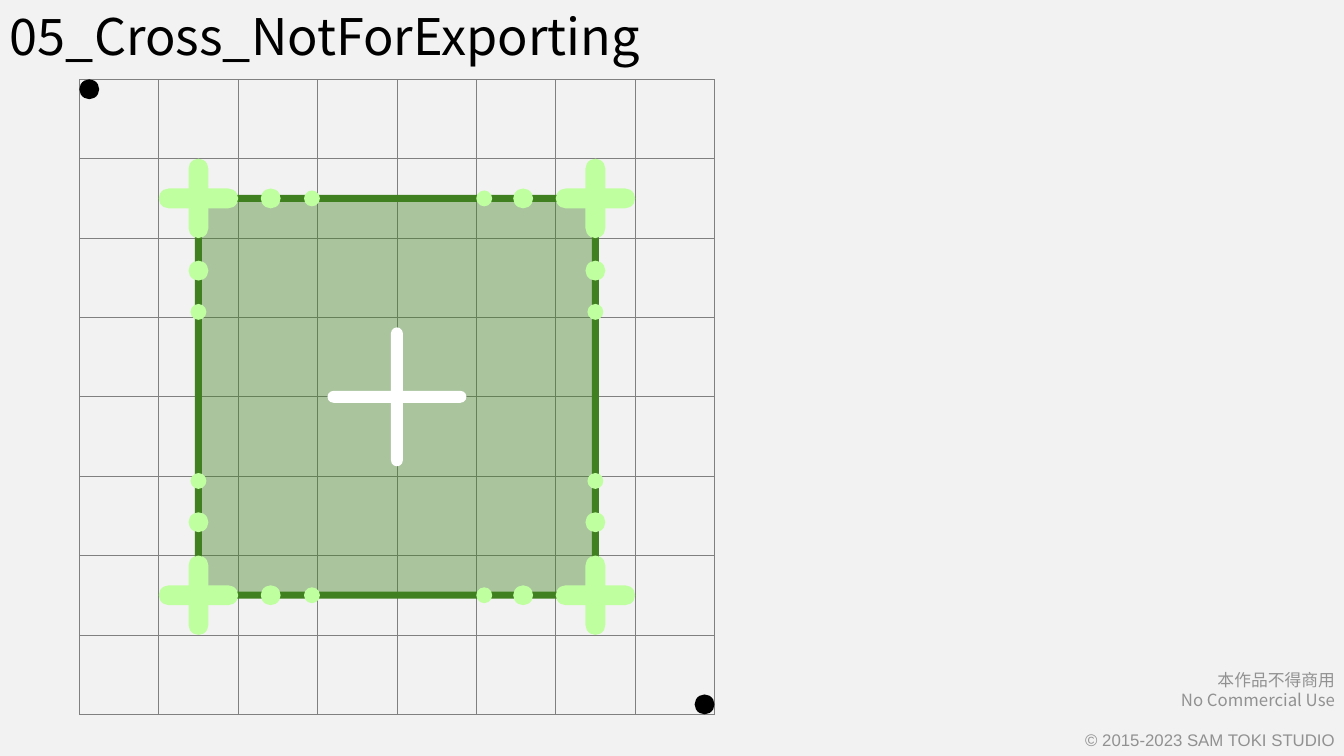
from itertools import product

from lxml import etree
from pptx import Presentation
from pptx.dml.color import RGBColor
from pptx.enum.shapes import MSO_CONNECTOR, MSO_SHAPE
from pptx.enum.text import MSO_AUTO_SIZE, PP_ALIGN
from pptx.oxml.ns import qn
from pptx.util import Cm, Inches, Pt

STRAIGHT = MSO_CONNECTOR.STRAIGHT
OVAL, ROUNDED = MSO_SHAPE.OVAL, MSO_SHAPE.ROUNDED_RECTANGLE
LEFT, RIGHT = PP_ALIGN.LEFT, PP_ALIGN.RIGHT
FIT_SHAPE = MSO_AUTO_SIZE.SHAPE_TO_FIT_TEXT

SANS, ARIAL = "Noto Sans CJK SC", "Arial"
BLACK, WHITE, GREY = "000000", "FFFFFF", "808080"
BACKGROUND, DARK_GREEN, LIGHT_GREEN = "F2F2F2", "408020", "C0FFA0"

# Text, font, space before in points
TITLE = [("05_Cross_NotForExporting", SANS, 0)]
FOOTER = [
    ("本作品不得商用", SANS, 0),
    ("No Commercial Use", SANS, 0),
    ("© 2015-2023 SAM TOKI STUDIO", ARIAL, 14.4),
]

# All drawing lengths are in grid cells
CELL = Cm(2)
GRID_START, GRID_END = 1, 9
CENTRE = 5
SQUARE_EDGES = (2.5, 7.5)
CORNER_BAR = (0.25, 1)
CENTRE_BAR = (0.15, 1.75)
MARKER_SIZE = 0.25
# Dot size, positions along horizontal edges, positions along vertical edges
EDGE_DOTS = [
    (0.25, (3.41, 6.59), (3.41, 6.58)),
    (0.2, (3.93, 6.1), (3.93, 6.06)),
]

presentation = Presentation()
presentation.slide_width, presentation.slide_height = Inches(13.33), Inches(7.5)
slide = presentation.slides.add_slide(presentation.slide_layouts[6])


def color(hex_string):
    return RGBColor.from_string(hex_string)


def set_opacity(fill, percent):
    solid = fill._xPr.find(qn("a:solidFill"))
    etree.SubElement(solid[0], qn("a:alpha"), val=str(percent * 1000))


def cells(count):
    return round(count * CELL)


def add_text(lines, left, top, width, height, size, align, opacity=100):
    box = slide.shapes.add_textbox(*map(Inches, (left, top, width, height)))
    frame = box.text_frame
    frame.word_wrap = True
    frame.auto_size = FIT_SHAPE
    frame.text = "\n".join(text for text, _, _ in lines)
    for paragraph, (_, font_name, space) in zip(frame.paragraphs, lines):
        paragraph.alignment = align
        if space:
            paragraph.space_before = Pt(space)
        font = paragraph.runs[0].font
        font.size = Pt(size)
        font.fill.solid()
        font.fill.fore_color.rgb = color(BLACK)
        if opacity < 100:
            set_opacity(font.fill, opacity)
        font.name = font_name
        etree.SubElement(font._element, qn("a:ea"), typeface=font_name)


def add_centred(kind, x, y, width, height, fill, corner=0.5):
    """Add a borderless shape around a centre point, in grid cells."""
    shape = slide.shapes.add_shape(
        kind, cells(x - width / 2), cells(y - height / 2), cells(width), cells(height))
    shape.shadow.inherit = False
    shape.fill.solid()
    shape.fill.fore_color.rgb = color(fill)
    shape.line.fill.background()
    if kind == ROUNDED:
        shape.adjustments[0] = corner
    return shape


def add_cross(x, y, bar, fill):
    for rotation in (0, 90):
        add_centred(ROUNDED, x, y, *bar, fill).rotation = rotation


def add_grid_line(*ends):
    line = slide.shapes.add_connector(STRAIGHT, *map(cells, ends))
    line.line.color.rgb = color(GREY)
    line.line.width = Pt(0.5)
    etree.SubElement(line._element.spPr, qn("a:effectLst"))


slide.background.fill.solid()
slide.background.fill.fore_color.rgb = color(BACKGROUND)

add_text(FOOTER, 9.4, 6.59, 3.94, 0.91, 12, RIGHT, opacity=40)
add_text(TITLE, 0, 0, 11.81, 0.71, 36, LEFT)

for step in range(GRID_START, GRID_END + 1):
    add_grid_line(GRID_START, step, GRID_END, step)
    add_grid_line(step, GRID_START, step, GRID_END)

for marker in (GRID_START + MARKER_SIZE / 2, GRID_END - MARKER_SIZE / 2):
    add_centred(OVAL, marker, marker, MARKER_SIZE, MARKER_SIZE, BLACK)

side = SQUARE_EDGES[1] - SQUARE_EDGES[0]
square = add_centred(ROUNDED, CENTRE, CENTRE, side, side, DARK_GREEN, corner=0.022)
set_opacity(square.fill, 40)
square.line.color.rgb = color(DARK_GREEN)
square.line.width = Pt(5)

for x, y in product(SQUARE_EDGES, repeat=2):
    add_cross(x, y, CORNER_BAR, LIGHT_GREEN)

for size, along_x, along_y in EDGE_DOTS:
    for x, y in [*product(along_x, SQUARE_EDGES), *product(SQUARE_EDGES, along_y)]:
        add_centred(ROUNDED, x, y, size, size, LIGHT_GREEN)

add_cross(CENTRE, CENTRE, CENTRE_BAR, WHITE)

presentation.save("out.pptx")
